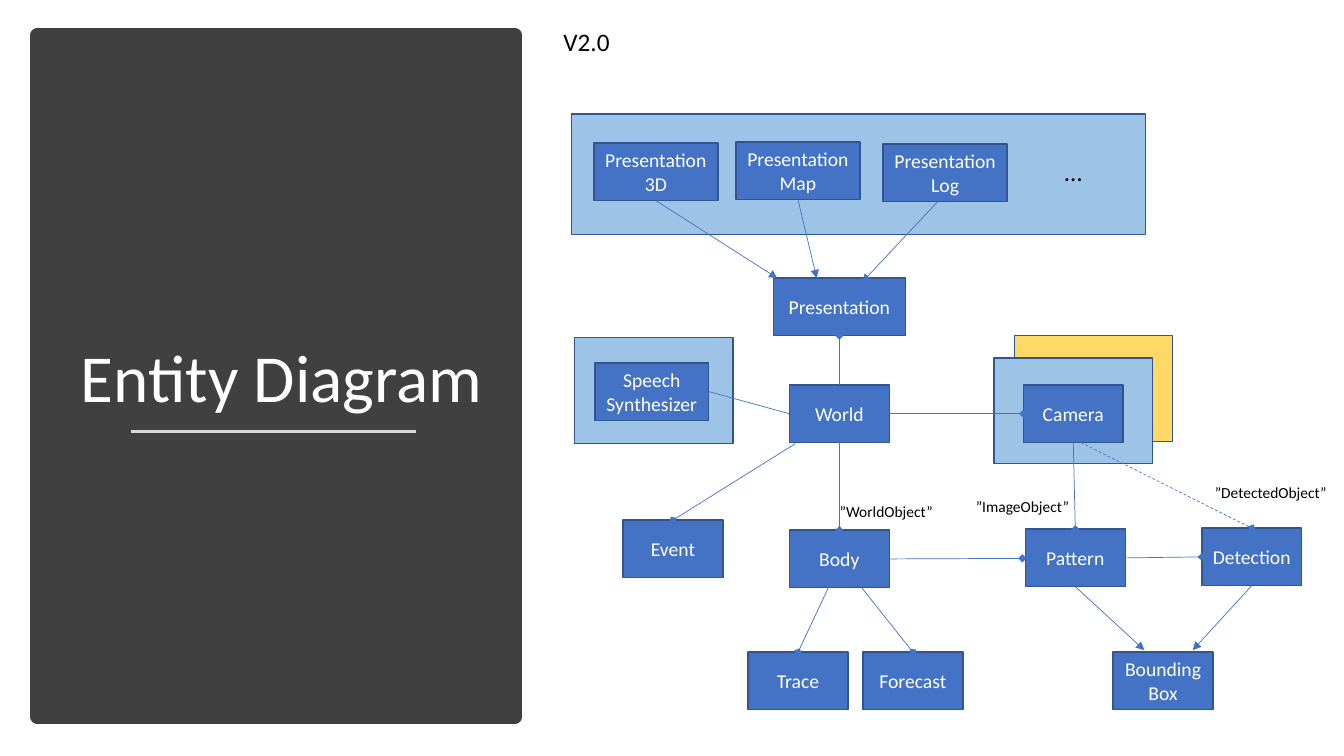
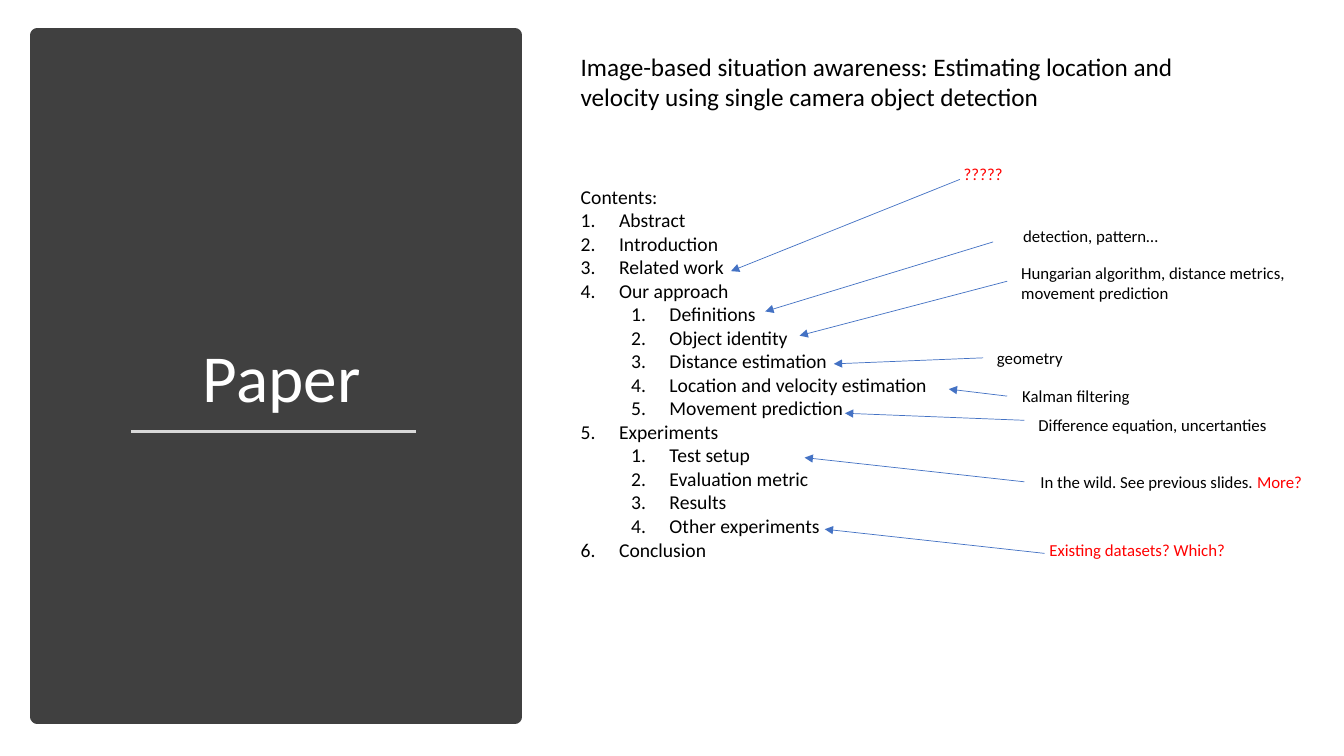
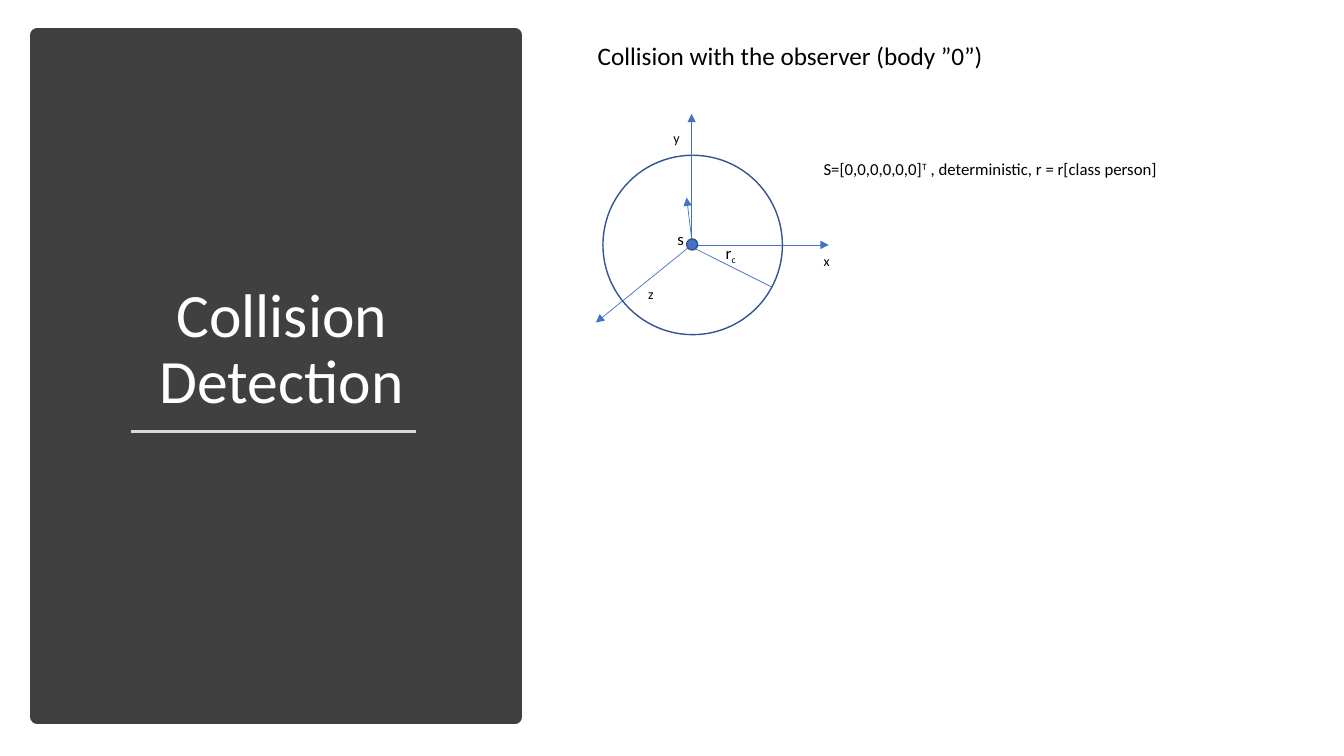
import pptx
import pptx.dml.color
import pptx.enum.dml
import pptx.enum.shapes
import pptx.enum.text
import pptx.oxml.ns
import pptx.util
from lxml import etree

Inches, Pt = pptx.util.Inches, pptx.util.Pt
RGBColor = pptx.dml.color.RGBColor
SHAPE = pptx.enum.shapes.MSO_SHAPE
ALIGN = pptx.enum.text.PP_ALIGN
ANCHOR = pptx.enum.text.MSO_ANCHOR
AUTO_SIZE = pptx.enum.text.MSO_AUTO_SIZE
qn = pptx.oxml.ns.qn

FONT = "Calibri"
WHITE = RGBColor(0xFF, 0xFF, 0xFF)
BLACK = RGBColor(0, 0, 0)
RED = RGBColor(0xFF, 0, 0)
PANEL = RGBColor(0x40, 0x40, 0x40)
RULE = RGBColor(0xD9, 0xD9, 0xD9)
BLUE = RGBColor(0x44, 0x72, 0xC4)
OUTLINE = RGBColor(0x32, 0x54, 0x91)
LIGHT_BLUE = RGBColor(0x9D, 0xC3, 0xE6)
YELLOW = RGBColor(0xFF, 0xD9, 0x66)

TITLE_AND_BODY, TITLE_ONLY = 1, 5
TOP, LEFT, BOTTOM, RIGHT = range(4)  # connection sites of a rectangle

# Entity diagram
GROUPS = [  # left, top, width, height, fill
    (10.06, 3.33, 1.57, 1.05, YELLOW),
    (9.86, 3.55, 1.57, 1.05, LIGHT_BLUE),
    (5.7, 3.35, 1.57, 1.05, LIGHT_BLUE),
    (5.67, 1.13, 5.69, 1.2, LIGHT_BLUE),
]
NODE_WIDTH, NODE_HEIGHT = 0.99, 0.57
WIDER_NODES = {"Presentation3D": 1.23, "PresentationMap": 1.23, "PresentationLog": 1.23,
               "Presentation": 1.31, "Speech\nSynthesizer": 1.13}
NODES = {  # text: (left, top)
    "Presentation3D": (5.89, 1.42),
    "PresentationMap": (7.3, 1.41),
    "PresentationLog": (8.76, 1.43),
    "Presentation": (7.67, 2.76),
    "Speech\nSynthesizer": (5.9, 3.6),
    "World": (7.83, 3.82),
    "Camera": (10.15, 3.82),
    "Event": (6.18, 5.16),
    "Body": (7.83, 5.26),
    "Pattern": (10.17, 5.25),
    "Detection": (11.92, 5.24),
    "Trace": (7.42, 6.47),
    "Forecast": (8.56, 6.47),
    "Bounding\nBox": (11.04, 6.47),
}
LINKS = [  # start, end, arrowhead; an end is a point or (node, site)
    (("Presentation3D", BOTTOM), (7.71, 2.76), "triangle"),
    (("PresentationMap", BOTTOM), (8.1, 2.76), "triangle"),
    ((9.31, 1.99), (8.55, 2.8), "triangle"),
    (("World", TOP), ("Presentation", BOTTOM), "diamond"),
    (("World", LEFT), ("Speech\nSynthesizer", RIGHT), None),
    (("World", RIGHT), ("Camera", LEFT), "diamond"),
    (("World", BOTTOM), ("Body", TOP), "diamond"),
    ((7.89, 4.4), ("Event", TOP), "diamond"),
    (("Camera", BOTTOM), ("Pattern", TOP), "diamond"),
    (("Body", RIGHT), (10.14, 5.54), "diamond"),
    (("Pattern", RIGHT), ("Detection", LEFT), "diamond"),
    ((8.23, 5.8), ("Trace", TOP), "diamond"),
    ((8.53, 5.81), ("Forecast", TOP), "diamond"),
    (("Pattern", BOTTOM), (11.35, 6.45), "triangle"),
    (("Detection", BOTTOM), (11.83, 6.45), "triangle"),
]
DASHED_LINK = ((10.72, 4.39), ("Detection", TOP), "diamond")
ENTITY_LABELS = [  # text, (left, top, width, height), size
    ("V2.0", (5.49, 0.21, 0.66, 0.4), 18),
    ("…", (10.46, 1.5, 0.38, 0.4), 18),
    ("”WorldObject”", (8.23, 4.93, 1.13, 0.29), 11),
    ("”ImageObject”", (9.58, 4.88, 1.13, 0.29), 11),
    ("”DetectedObject”", (11.95, 4.74, 1.32, 0.29), 11),
]

# Paper
PAPER_HEADING = ("Image-based situation awareness: Estimating location and\v"
                 "velocity using single camera object detection")
CONTENTS = [  # chapter, sections
    ("Abstract", []),
    ("Introduction", []),
    ("Related work", []),
    ("Our approach", ["Definitions", "Object identity", "Distance estimation",
                      "Location and velocity estimation", "Movement prediction"]),
    ("Experiments", ["Test setup", "Evaluation metric", "Results", "Other experiments"]),
    ("Conclusion", []),
]
REMARKS = [  # text, box, colour, arrow start, arrow end
    ("?????", (9.46, 1.58, 0.59, 0.3), RED, (9.52, 1.78), (7.25, 2.69)),
    ("detection, pattern…", (10.05, 2.19, 1.56, 0.3), BLACK, (9.85, 2.4), (7.59, 3.09)),
    ("Hungarian algorithm, distance metrics,\nmovement prediction",
     (10.03, 2.56, 2.84, 0.5), BLACK, (9.99, 2.79), (7.93, 3.33)),
    ("geometry", (9.79, 3.4, 0.86, 0.3), BLACK, (9.75, 3.55), (8.27, 3.61)),
    ("Kalman filtering", (10.04, 3.78, 1.28, 0.3), BLACK, (9.99, 3.93), (9.41, 3.86)),
    ("Difference equation, uncertanties", (10.2, 4.07, 2.49, 0.3), BLACK,
     (10.16, 4.17), (8.38, 4.1)),
    ("In the wild. See previous slides. ", (10.22, 4.63, 2.82, 0.3), BLACK,
     (10.16, 4.78), (7.98, 4.54)),
    ("Existing datasets? Which?", (10.31, 5.31, 2, 0.3), RED, (10.36, 5.49), (8.18, 5.25)),
]
REMARK_SUFFIX = {"In the wild. See previous slides. ": "More?"}

# Collision detection
COLLISION_LINES = [  # start, end, arrowhead
    ((6.86, 2.43), (6.86, 1.13), "triangle"),
    ((6.87, 2.43), (8.22, 2.43), "triangle"),
    ((6.86, 2.43), (5.91, 3.2), "triangle"),
    ((6.9, 2.47), (7.66, 2.85), None),
    ((6.86, 2.37), (6.81, 1.96), "triangle"),
]
COLLISION_LABELS = [
    ("x", (8.07, 2.46, 0.26, 0.27), 10),
    ("z", (6.33, 2.78, 0.26, 0.27), 10),
    ("y", (6.58, 1.24, 0.27, 0.27), 10),
    ("s", (6.62, 2.22, 0.27, 0.3), 12),
    ("Collision with the observer (body ”0”)", (5.83, 0.35, 4.12, 0.4), 18),
]


def inches(values):
    return [Inches(v) for v in values]


def format_run(r, size, color, baseline=0):
    """Set the font; baseline is a percentage, below zero for a subscript."""
    r.font.name, r.font.size, r.font.color.rgb = FONT, Pt(size), color
    if baseline:
        r._r.get_or_add_rPr().set("baseline", str(baseline * 1000))


def format_text(tf, size, color, align=None):
    for p in tf.paragraphs:
        p.alignment = align
        for r in p.runs:
            format_run(r, size, color)


def add_run(p, text, size, color=BLACK, baseline=0):
    r = p.add_run()
    r.text = text
    format_run(r, size, color, baseline)


def add_shape(s, kind, box, fill=None, line=OUTLINE, line_width=1):
    sp = s.shapes.add_shape(kind, *inches(box))
    sp.shadow.inherit = False
    if fill is None:
        sp.fill.background()
    else:
        sp.fill.solid()
        sp.fill.fore_color.rgb = fill
    sp.line.color.rgb, sp.line.width = line, Pt(line_width)
    return sp


def add_label(s, text, box, size, color=BLACK):
    """Add an unwrapped text box and return its last paragraph."""
    tf = s.shapes.add_textbox(*inches(box)).text_frame
    tf.word_wrap, tf.auto_size = False, AUTO_SIZE.SHAPE_TO_FIT_TEXT
    tf.text = text
    format_text(tf, size, color)
    return tf.paragraphs[-1]


def add_line(s, start, end, head=None, color=BLUE, width=0.5, dashed=False, nodes=None):
    """Draw a line; an end given as (node name, site) is glued to that node."""
    glued = [isinstance(e[0], str) for e in (start, end)]
    points = [(0, 0) if g else e for g, e in zip(glued, (start, end))]
    line = s.shapes.add_connector(pptx.enum.shapes.MSO_CONNECTOR.STRAIGHT,
                                  *inches(points[0] + points[1]))
    if glued[0]:
        line.begin_connect(nodes[start[0]], start[1])
    if glued[1]:
        line.end_connect(nodes[end[0]], end[1])
    line.line.color.rgb, line.line.width = color, Pt(width)
    if dashed:
        line.line.dash_style = pptx.enum.dml.MSO_LINE.DASH
    if head:
        etree.SubElement(line.line._get_or_add_ln(), qn("a:tailEnd"), type=head)
    etree.SubElement(line._element.spPr, qn("a:effectLst"))


def add_titled_slide(prs, title, size=48, layout=TITLE_ONLY):
    """Add a slide with the dark title panel on its left."""
    s = prs.slides.add_slide(prs.slide_layouts[layout])
    panel = add_shape(s, SHAPE.RECTANGLE, (0.37, 0.35, 4.74, 6.76), PANEL, PANEL, 10)
    s.shapes._spTree.insert(2, panel._element)
    add_line(s, (1.3, 4.28), (4.13, 4.28), color=RULE, width=1.75)
    sp = s.shapes.title
    sp.left, sp.top, sp.width, sp.height = inches((0.55, 1, 4.49, 3.19))
    tf = sp.text_frame
    tf.text = title
    tf.word_wrap, tf.auto_size, tf.vertical_anchor = True, AUTO_SIZE.NONE, ANCHOR.BOTTOM
    format_text(tf, size, WHITE, ALIGN.CENTER)
    tf.paragraphs[0].line_spacing, tf.paragraphs[0].space_after = 0.9, Pt(6)
    return s


def add_node(s, text, left, top):
    width = WIDER_NODES.get(text, NODE_WIDTH)
    sp = add_shape(s, SHAPE.RECTANGLE, (left, top, width, NODE_HEIGHT), BLUE)
    tf = sp.text_frame
    tf.text = text
    tf.word_wrap, tf.vertical_anchor = True, ANCHOR.MIDDLE
    format_text(tf, 14, WHITE, ALIGN.CENTER)
    return sp


def add_content_line(p, text, level=None):
    """Fill a contents paragraph, numbered when a level is given."""
    p.text = text
    pPr = p._p.get_or_add_pPr()
    numbered = level is not None
    pPr.set("marL", str(Inches(0.38 + 0.5 * level) if numbered else 0))
    pPr.set("indent", str(Inches(-0.38) if numbered else 0))
    if numbered:
        etree.SubElement(pPr, qn("a:buAutoNum"), type="arabicPeriod")
        p.level = level
    else:
        etree.SubElement(pPr, qn("a:buNone"))
    p.space_before = Pt(0)


def build_entity_slide(prs):
    s = add_titled_slide(prs, "Entity Diagram")
    for *box, fill in GROUPS:
        add_shape(s, SHAPE.RECTANGLE, box, fill)
    nodes = {text: add_node(s, text, *corner) for text, corner in NODES.items()}
    for link in LINKS:
        add_line(s, *link, nodes=nodes)
    add_line(s, *DASHED_LINK, dashed=True, nodes=nodes)
    for label in ENTITY_LABELS:
        add_label(s, *label)


def build_paper_slide(prs):
    s = add_titled_slide(prs, "Paper", layout=TITLE_AND_BODY)
    body = s.placeholders[1]
    body.left, body.top, body.width, body.height = inches((5.66, 1.78, 3.65, 4.58))
    tf = body.text_frame
    tf.word_wrap, tf.auto_size, tf.vertical_anchor = True, AUTO_SIZE.NONE, ANCHOR.TOP
    add_content_line(tf.paragraphs[0], "Contents:")
    for chapter, sections in CONTENTS:
        add_content_line(tf.add_paragraph(), chapter, 0)
        for section in sections:
            add_content_line(tf.add_paragraph(), section, 1)
    format_text(tf, 14, BLACK)
    add_label(s, PAPER_HEADING, (5.66, 0.46, 6.15, 0.71), 18)
    for text, box, color, start, end in REMARKS:
        add_line(s, start, end, "triangle")
        p = add_label(s, text, box, 12, color)
        if text in REMARK_SUFFIX:
            add_run(p, REMARK_SUFFIX[text], 12, RED)


def build_collision_slide(prs):
    s = add_titled_slide(prs, "Collision Detection", size=44)
    add_shape(s, SHAPE.OVAL, (5.98, 1.54, 1.78, 1.78))
    for line in COLLISION_LINES:
        add_line(s, *line)
    add_shape(s, SHAPE.OVAL, (6.81, 2.37, 0.11, 0.11), BLUE)
    for label in COLLISION_LABELS:
        add_label(s, *label)
    radius = add_label(s, "r", (7.1, 2.36, 0.3, 0.3), 12)
    add_run(radius, "c", 12, baseline=-25)
    state = add_label(s, "S=[0,0,0,0,0,0]", (8.07, 1.53, 3.57, 0.3), 12)
    add_run(state, "T", 12, baseline=30)
    add_run(state, " , deterministic, r = r[class person]", 12)


def main():
    prs = pptx.Presentation()
    prs.slide_width, prs.slide_height = Inches(13.33), Inches(7.5)
    build_entity_slide(prs)
    build_paper_slide(prs)
    build_collision_slide(prs)
    prs.save("out.pptx")


if __name__ == "__main__":
    main()
